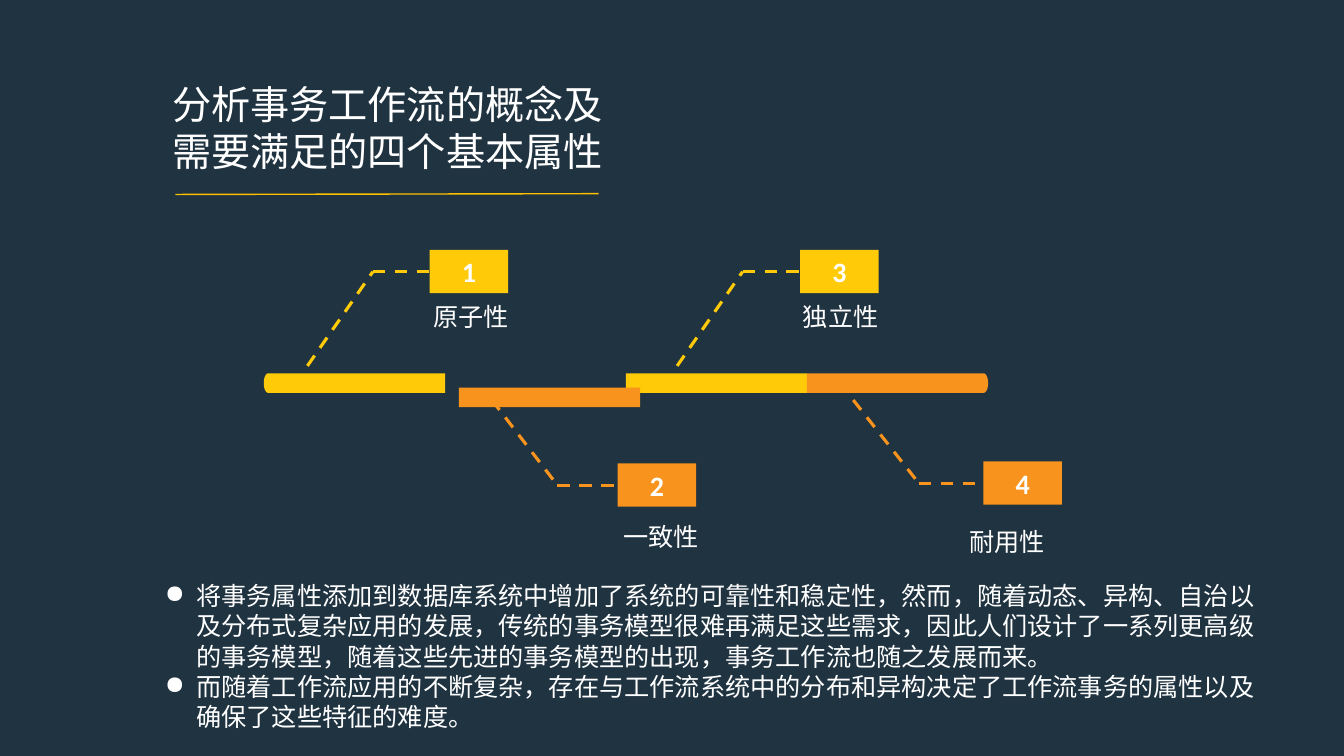
import math
import pptx
import pptx.util
import pptx.dml.color
import pptx.enum.dml
import pptx.enum.shapes
import pptx.enum.text
import pptx.oxml.ns
from lxml import etree

Cm = pptx.util.Cm
Pt = pptx.util.Pt
RGBColor = pptx.dml.color.RGBColor
SHAPE = pptx.enum.shapes.MSO_SHAPE
LINK = pptx.enum.shapes.MSO_CONNECTOR.STRAIGHT
qn = pptx.oxml.ns.qn

NAVY = RGBColor(0x20, 0x33, 0x41)
WHITE = RGBColor(0xFF, 0xFF, 0xFF)
GOLD = RGBColor(0xFF, 0xC0, 0x00)
YELLOW = RGBColor(0xFF, 0xCA, 0x08)
ORANGE = RGBColor(0xF8, 0x93, 0x1D)

deck = pptx.Presentation()
deck.slide_width, deck.slide_height = Cm(33.88), Cm(19.05)
slide = deck.slides.add_slide(deck.slide_layouts[6])
slide.background.fill.solid()
slide.background.fill.fore_color.rgb = NAVY
shapes = slide.shapes


def add_text(x, y, w, h, lines, size, face="Calibri"):
    frame = shapes.add_textbox(Cm(x), Cm(y), Cm(w), Cm(h)).text_frame
    frame.word_wrap = True
    frame.text = "\n".join(lines)
    for par in frame.paragraphs:
        if len(lines) > 1:
            props = par._p.get_or_add_pPr()
            props.set("marL", str(Cm(0.79)))
            props.set("indent", str(Cm(-0.79)))
            etree.SubElement(props, qn("a:buChar")).set("char", "●")
        par.font.size = Pt(size)
        par.font.name = face
        par.font.color.rgb = WHITE


def add_line(x1, y1, x2, y2, color, width):
    line = shapes.add_connector(LINK, Cm(x1), Cm(y1), Cm(x2), Cm(y2))
    line.line.color.rgb = color
    line.line.width = Pt(width)
    etree.SubElement(line._element.spPr, qn("a:effectLst"))
    return line


# Title and rule
add_text(4.09, 1.9, 12.09, 2.64, ["分析事务工作流的概念及需要满足的四个基本属性"], 28)
add_line(4.42, 4.9, 15.09, 4.88, GOLD, 1)

# Timeline bars: left, top, colour, side of the rounded end
BAR_W, BAR_H, CAP = 4.57, 0.49, 0.11
for x, y, color, side in [
    (6.65, 9.41, YELLOW, -1),
    (15.78, 9.41, YELLOW, 0),
    (11.57, 9.77, ORANGE, 0),
    (20.34, 9.41, ORANGE, 1),
]:
    if side:
        flat = x if side > 0 else x + BAR_W
        curve = flat + side * (BAR_W - CAP)
        arc = [math.radians(a) for a in range(-90, 91, 10)]
        pts = [(Cm(curve + side * CAP * math.cos(a)),
                Cm(y + BAR_H / 2 * (1 + math.sin(a)))) for a in arc]
        pen = shapes.build_freeform(Cm(flat), Cm(y))
        pen.add_line_segments(pts + [(Cm(flat), Cm(y + BAR_H))])
        bar = pen.convert_to_shape()
    else:
        bar = shapes.add_shape(SHAPE.RECTANGLE, Cm(x), Cm(y), Cm(BAR_W), Cm(BAR_H))
    bar.shadow.inherit = False
    bar.fill.solid()
    bar.fill.fore_color.rgb = color
    bar.line.fill.background()

# Numbered boxes with labels and dashed leaders
BOX_W, BOX_H, RUN = 1.98, 1.09, 1.65
for num, (label, color, x, y, lx, ly, sx, sy) in enumerate([
    ("原子性", YELLOW, 10.83, 6.3, 10.67, 7.47, 7.75, 9.22),
    ("一致性", ORANGE, 15.57, 11.68, 15.47, 13.0, 12.4, 10.08),
    ("独立性", YELLOW, 20.17, 6.3, 19.99, 7.47, 17.07, 9.22),
    ("耐用性", ORANGE, 24.79, 11.63, 24.18, 13.13, 21.51, 10.08),
], 1):
    box = shapes.add_shape(SHAPE.RECTANGLE, Cm(x), Cm(y), Cm(BOX_W), Cm(BOX_H))
    box.shadow.inherit = False
    box.fill.solid()
    box.fill.fore_color.rgb = color
    box.line.fill.background()
    box.text_frame.text = str(num)
    box.text_frame.vertical_anchor = pptx.enum.text.MSO_ANCHOR.MIDDLE
    par = box.text_frame.paragraphs[0]
    par.alignment = pptx.enum.text.PP_ALIGN.CENTER
    par.font.size = Pt(20)
    par.font.name = "Calibri"
    par.font.bold = True
    par.font.color.rgb = WHITE

    bend, mid = sx + RUN, y + BOX_H / 2
    slope = add_line(sx, sy, bend, mid, color, 2.25)
    level = add_line(bend, mid, x, mid, color, 2.25)
    level.end_connect(box, 1)
    for part in (slope, level):
        part.line.dash_style = pptx.enum.dml.MSO_LINE.DASH
    add_text(lx, ly, 4.11, 1.9, [label], 18)

# Body text
add_text(3.91, 14.5, 28.42, 4.83, [
    "将事务属性添加到数据库系统中增加了系统的可靠性和稳定性，然而，随着动态、异构、自治以及分布式复杂应用的发展，传统的事务模型很难再满足这些需求，因此人们设计了一系列更高级的事务模型，随着这些先进的事务模型的出现，事务工作流也随之发展而来。",
    "而随着工作流应用的不断复杂，存在与工作流系统中的分布和异构决定了工作流事务的属性以及确保了这些特征的难度。",
], 18, "Noto Sans CJK SC")

deck.save("out.pptx")
